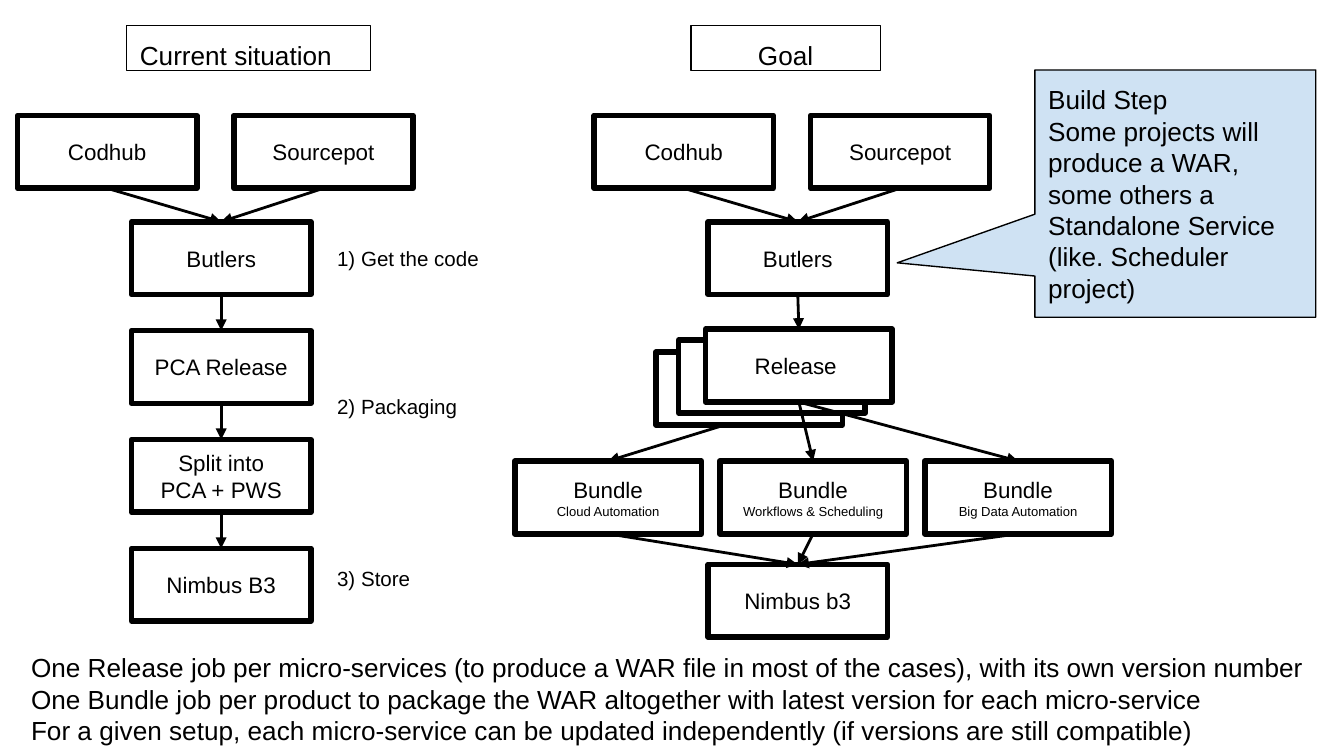
"""Build a slide comparing the current release pipeline with the goal."""
import lxml.etree
import pptx
import pptx.dml.color
import pptx.enum.shapes
import pptx.enum.text
import pptx.oxml.ns
import pptx.util

Pt = pptx.util.Pt
RGB = pptx.dml.color.RGBColor
SHAPE = pptx.enum.shapes.MSO_SHAPE
ALIGN = pptx.enum.text.PP_ALIGN
ANCHOR = pptx.enum.text.MSO_ANCHOR
qn = pptx.oxml.ns.qn

THEME = {
    "font": "Arial",
    "ink": RGB(0, 0, 0),
    "paper": RGB(255, 255, 255),
    "note": RGB(0xCF, 0xE2, 0xF3),
    "large": Pt(14), "box": Pt(12), "label": Pt(11), "small": Pt(7),
    "thin": Pt(0.75), "arrow": Pt(1.5), "thick": Pt(3),
}
FRAME = {
    "word_wrap": True, "auto_size": pptx.enum.text.MSO_AUTO_SIZE.NONE,
    "margin_left": Pt(7.2), "margin_right": Pt(7.2),
    "margin_top": Pt(7.2), "margin_bottom": Pt(7.2),
}


def dress(sp, lines, sizes=("box",), align=ALIGN.CENTER, anchor=ANCHOR.MIDDLE, fill=None, line="thick"):
    sp.shadow.inherit = False
    if fill:
        sp.fill.solid()
        sp.fill.fore_color.rgb = THEME[fill]
    else:
        sp.fill.background()
    if line:
        sp.line.color.rgb = THEME["ink"]
        sp.line.width = THEME[line]
    tf = sp.text_frame
    for key, value in {**FRAME, "vertical_anchor": anchor}.items():
        setattr(tf, key, value)
    for i, text in enumerate(lines):
        p = tf.add_paragraph() if i else tf.paragraphs[0]
        p.text = text
        p.alignment = align
        p.space_before = Pt(0)
        for r in p.runs:
            for key, value in {"name": THEME["font"], "size": THEME[sizes[min(i, len(sizes) - 1)]]}.items():
                setattr(r.font, key, value)
            r.font.color.rgb = THEME["ink"]
    return sp


def arrow(start, end):
    c = s.shapes.add_connector(pptx.enum.shapes.MSO_CONNECTOR.STRAIGHT, 0, 0, 0, 0)
    c.begin_connect(start, 2)
    c.end_connect(end, 0)
    c.line.color.rgb = THEME["ink"]
    c.line.width = THEME["arrow"]
    sppr = c._element.spPr
    lxml.etree.SubElement(sppr.find(qn("a:ln")), qn("a:tailEnd"), type="triangle")
    lxml.etree.SubElement(sppr, qn("a:effectLst"))
    return c


prs = pptx.Presentation()
prs.slide_width, prs.slide_height = Pt(720), Pt(405)
s = prs.slides.add_slide(prs.slide_layouts[1])

title, body = s.placeholders
for sp, place in ((title, (67.7, 13.7, 130.7, 24)), (body, (9.4, 342, 704.5, 60))):
    for key, value in zip(("left", "top", "width", "height"), place):
        setattr(sp, key, Pt(value))
dress(title, ["Current situation"], ("large",), ALIGN.LEFT, ANCHOR.TOP, line="thin")
dress(body, [
    "One Release job per micro-services (to produce a WAR file in most of the cases), with its own version number",
    "One Bundle job per product to package the WAR altogether with latest version for each micro-service",
    "For a given setup, each micro-service can be updated independently (if versions are still compatible)",
], ("large",), ALIGN.LEFT, ANCHOR.TOP, line=None)
for p in body.text_frame.paragraphs:
    ppr = p._p.get_or_add_pPr()
    ppr.set("marL", "0")
    ppr.set("indent", "0")
    lxml.etree.SubElement(ppr, qn("a:buNone"))

sp = s.shapes.add_shape(SHAPE.RECTANGLE, Pt(370.1), Pt(13.7), Pt(101.5), Pt(24))
dress(sp, ["Goal"], ("large",), anchor=ANCHOR.TOP, line="thin")

builds = []
for dx in (0, 308.9):
    sources = []
    for i, name in enumerate(("Codhub", "Sourcepot")):
        sp = s.shapes.add_shape(SHAPE.RECTANGLE, Pt(9.4 + dx + 115.9 * i), Pt(61.9), Pt(96), Pt(39))
        sources.append(dress(sp, [name]))
    sp = s.shapes.add_shape(SHAPE.RECTANGLE, Pt(70.5 + dx), Pt(118.8), Pt(96), Pt(39))
    builds.append(dress(sp, ["Butlers"]))
    for source in sources:
        arrow(source, sp)

previous = builds[0]
for i, name in enumerate(("PCA Release", "Split into\vPCA + PWS", "Nimbus B3"), 1):
    sp = s.shapes.add_shape(SHAPE.RECTANGLE, Pt(70.5), Pt(118.8 + 58.33 * i), Pt(96), Pt(39))
    arrow(previous, dress(sp, [name]))
    previous = sp

sp = s.shapes.add_textbox(Pt(173.5), Pt(124.6), Pt(105), Pt(214))
dress(sp, ["1) Get the code", "2) Packaging", "3) Store"], ("label",), ALIGN.LEFT, ANCHOR.TOP, line=None)
for p, gap in zip(sp.text_frame.paragraphs, (0, 66, 79)):
    p.space_before = Pt(gap)

for x, y, lines in ((351.4, 188.6, []), (363.6, 182.2, []), (378, 176.4, ["Release "])):
    release = s.shapes.add_shape(SHAPE.RECTANGLE, Pt(x), Pt(y), Pt(100), Pt(39))
    dress(release, lines, fill="paper")
arrow(builds[1], release)

store = s.shapes.add_shape(SHAPE.RECTANGLE, Pt(379.4), Pt(302.4), Pt(96), Pt(39))
dress(store, ["Nimbus b3"])
for i, name in enumerate(("Cloud Automation", "Workflows & Scheduling", "Big Data Automation")):
    sp = s.shapes.add_shape(SHAPE.RECTANGLE, Pt(275.8 + 109.8 * i), Pt(247), Pt(100), Pt(39))
    dress(sp, ["Bundle", name], ("box", "small"))
    c = arrow(release, sp)
    if i == 0:
        s.shapes._spTree.insert(2, c._element)
    arrow(sp, store)

sp = s.shapes.add_shape(SHAPE.RECTANGULAR_CALLOUT, Pt(554.4), Pt(37.5), Pt(150.5), Pt(132.5))
sp.adjustments[0], sp.adjustments[1] = -0.99, 0.28
dress(sp, [
    "Build Step",
    "Some projects will produce a WAR, some others a Standalone Service (like. Scheduler project)",
], ("large",), ALIGN.LEFT, fill="note", line="thin")

prs.save("out.pptx")
